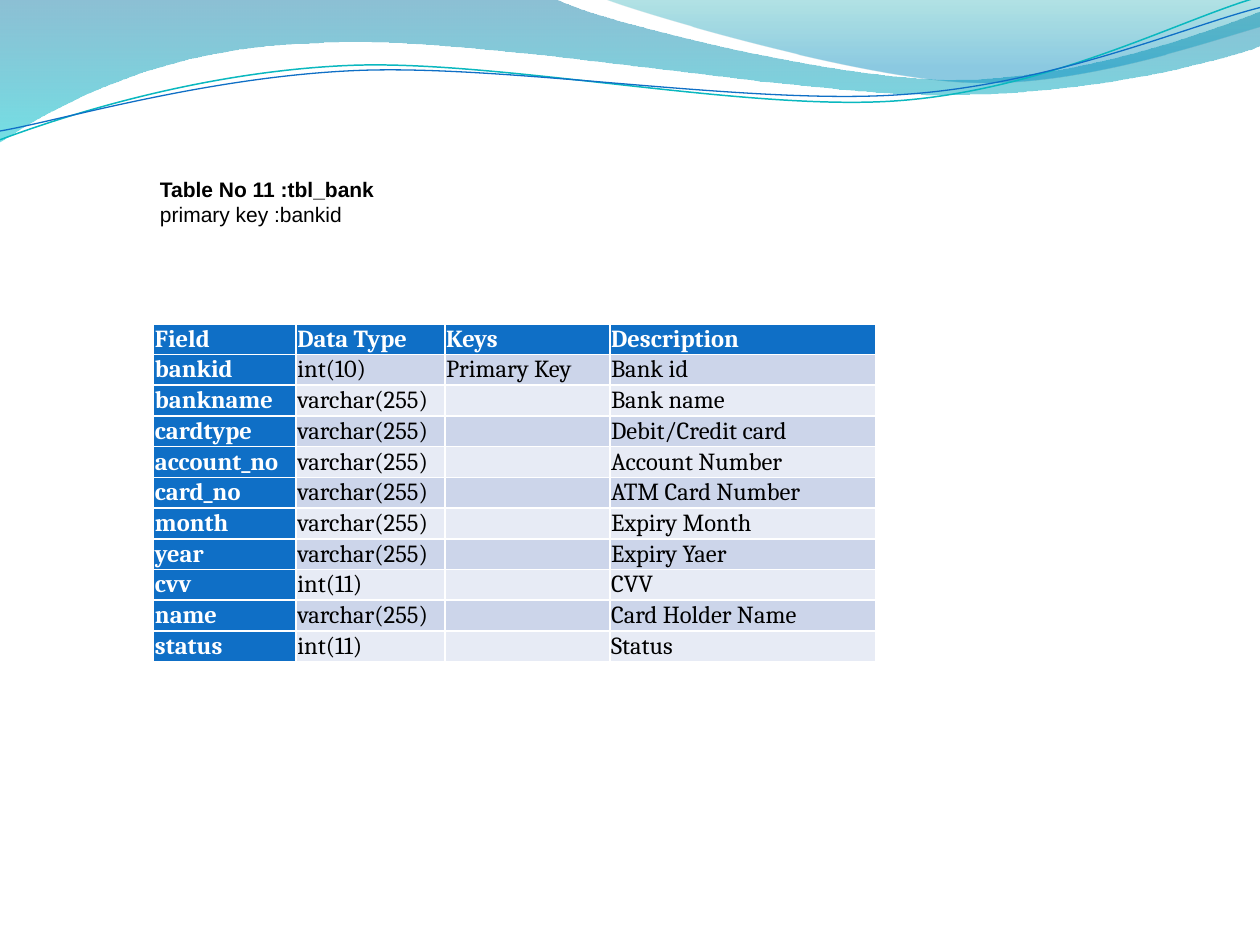
from dataclasses import dataclass
from typing import Optional

from lxml import etree
from pptx import Presentation
from pptx.dml.color import RGBColor
from pptx.enum.text import MSO_ANCHOR, MSO_AUTO_SIZE, PP_ALIGN
from pptx.oxml.ns import qn
from pptx.util import Inches, Pt

MIDDLE = MSO_ANCHOR.MIDDLE
LEFT = PP_ALIGN.LEFT
NO_AUTOFIT = MSO_AUTO_SIZE.NONE
TITLE_ONLY = 5


@dataclass(frozen=True)
class Theme:
    blue: str = "0F6FC6"
    teal: str = "0AB8BF"
    white: str = "FFFFFF"
    black: str = "000000"
    bands: tuple = ("CCD5EA", "E7EBF5")
    title_font: str = "Arial"
    table_font: str = "Cambria"
    title_size: int = 12
    table_size: int = 14


@dataclass(frozen=True)
class Stop:
    position: float
    color: str
    opacity: int


@dataclass(frozen=True)
class Wave:
    """Outline in inches: 2 numbers make a line, 6 make a Bezier curve."""
    start: tuple
    segments: tuple
    stops: tuple = ()
    line: Optional[str] = None
    width: float = 0


THEME = Theme()

WAVES = (
    Wave((0, 0), ((4.4, -0.01),
                  (4.76, 0.17, 6.64, 0.63, 7.58, 0.63),
                  (8.53, 0.63, 9.58, 0.26, 10, 0.09),
                  (10.01, 0.36),
                  (9.83, 0.44, 8.7, 0.76, 7.46, 0.75),
                  (6.22, 0.75, 3.82, 0.28, 2.57, 0.34),
                  (1.29, 0.36, 0.46, 0.83, -0.01, 1.13),
                  (0, 0)),
         stops=(Stop(0, "0074A1", 45), Stop(1, "00C6CF", 55))),
    Wave((4.79, -0.01), ((5.09, 0.11, 6.82, 0.62, 7.69, 0.65),
                         (8.56, 0.69, 9.61, 0.32, 10, 0.21),
                         (10, 0),
                         (4.79, -0.01)),
         stops=(Stop(0, "00A1A9", 30), Stop(0.8, "008BBF", 45))),
    Wave((0, 1.11), ((0.48, 0.93, 1.58, 0.57, 2.77, 0.52),
                     (3.95, 0.47, 5.93, 0.89, 7.13, 0.8),
                     (8.33, 0.71, 9.38, 0.15, 9.98, -0.02)),
         line=THEME.teal, width=0.85),
    Wave((0, 1.04), ((0.47, 0.96, 1.64, 0.61, 2.83, 0.56),
                     (4.03, 0.51, 5.97, 0.84, 7.17, 0.75),
                     (8.36, 0.67, 9.41, 0.21, 10, 0.06)),
         line=THEME.blue, width=0.75),
)

TITLE_LINES = ("Table No 11 :tbl_bank", "primary key :bankid")
COLUMN_WIDTHS = (1.13, 1.18, 1.31, 2.11)
ROW_HEIGHT = 0.24
FIELDS = (
    ("Field", "Data Type", "Keys", "Description"),
    ("bankid", "int(10)", "Primary Key", "Bank id"),
    ("bankname", "varchar(255)", "", "Bank name"),
    ("cardtype", "varchar(255)", "", "Debit/Credit card"),
    ("account_no", "varchar(255)", "", "Account Number"),
    ("card_no", "varchar(255)", "", "ATM Card Number"),
    ("month", "varchar(255)", "", "Expiry Month"),
    ("year", "varchar(255)", "", "Expiry Yaer"),
    ("cvv", "int(11)", "", "CVV"),
    ("name", "varchar(255)", "", "Card Holder Name"),
    ("status", "int(11)", "", "Status"),
)


def rgb(color: str) -> RGBColor:
    return RGBColor.from_string(color)


def set_font(p, name: str, size: int, color: str, bold: bool) -> None:
    p.font.name, p.font.size, p.font.bold = name, Pt(size), bold
    p.font.color.rgb = rgb(color)


def bend(sp, segments: tuple) -> None:
    """Turn the straight steps of an outline into its Bezier curves."""
    steps = list(sp.element.spPr.iter(qn("a:lnTo")))
    for step, seg in zip(steps, segments):
        if len(seg) == 2:
            continue
        step.tag = qn("a:cubicBezTo")
        step.clear()
        for x, y in zip(seg[::2], seg[1::2]):
            etree.SubElement(step, qn("a:pt"), x=str(Inches(x) - sp.left),
                             y=str(Inches(y) - sp.top))


def draw_wave(s, wave: Wave) -> None:
    builder = s.shapes.build_freeform(*map(Inches, wave.start))
    builder.add_line_segments([tuple(map(Inches, seg[-2:])) for seg in wave.segments],
                              close=bool(wave.stops))
    sp = builder.convert_to_shape()
    bend(sp, wave.segments)
    sp.shadow.inherit = False
    if wave.line:
        sp.fill.background()
        sp.line.color.rgb = rgb(wave.line)
        sp.line.width = Pt(wave.width)
        return
    sp.line.fill.background()
    sp.fill.gradient()
    sp.fill.gradient_angle = 270
    for target, stop in zip(sp.fill.gradient_stops, wave.stops):
        target.position = stop.position
        target.color.rgb = rgb(stop.color)
    for clr, stop in zip(sp.element.spPr.iter(qn("a:srgbClr")), wave.stops):
        etree.SubElement(clr, qn("a:alpha"), val=str(stop.opacity * 1000))


def draw_title(s) -> None:
    sp = s.shapes.title
    sp.left, sp.top, sp.width, sp.height = map(Inches, (0.91, 1.47, 10, 0.5))
    tf = sp.text_frame
    tf.text = "\n".join(TITLE_LINES)
    tf.word_wrap, tf.auto_size = True, NO_AUTOFIT
    tf.vertical_anchor = MIDDLE
    tf.margin_left, tf.margin_right = Inches(0.36), Inches(0.1)
    tf.margin_top, tf.margin_bottom = Inches(0.05), Inches(0.29)
    for i, p in enumerate(tf.paragraphs):
        p.alignment = LEFT
        set_font(p, THEME.title_font, THEME.title_size, THEME.black, i == 0)


def draw_cell(cell, text: str, row: int, col: int) -> None:
    heading = row == 0 or col == 0
    cell.fill.solid()
    cell.fill.fore_color.rgb = rgb(THEME.blue if heading else THEME.bands[(row - 1) % 2])
    cell.margin_left = cell.margin_right = Inches(0.01)
    cell.margin_top = cell.margin_bottom = Inches(0.01)
    cell.vertical_anchor = MIDDLE
    cell.text = text
    p = cell.text_frame.paragraphs[0]
    set_font(p, THEME.table_font, THEME.table_size,
             THEME.white if heading else THEME.black, heading)
    if not text:  # keeps an empty cell as low as the others
        etree.SubElement(p._p, qn("a:endParaRPr"), sz=str(THEME.table_size * 100))


def draw_table(s) -> None:
    table = s.shapes.add_table(
        len(FIELDS), len(COLUMN_WIDTHS), Inches(1.22), Inches(2.57),
        Inches(sum(COLUMN_WIDTHS)), Inches(ROW_HEIGHT * len(FIELDS))).table
    for column, width in zip(table.columns, COLUMN_WIDTHS):
        column.width = Inches(width)
    for row, values in enumerate(FIELDS):
        for col, text in enumerate(values):
            draw_cell(table.cell(row, col), text, row, col)


prs = Presentation()
prs.slide_width, prs.slide_height = Inches(10), Inches(7.5)
s = prs.slides.add_slide(prs.slide_layouts[TITLE_ONLY])

# Header waves
for wave in WAVES:
    draw_wave(s, wave)

# Title and field table
draw_title(s)
draw_table(s)

prs.save("out.pptx")
